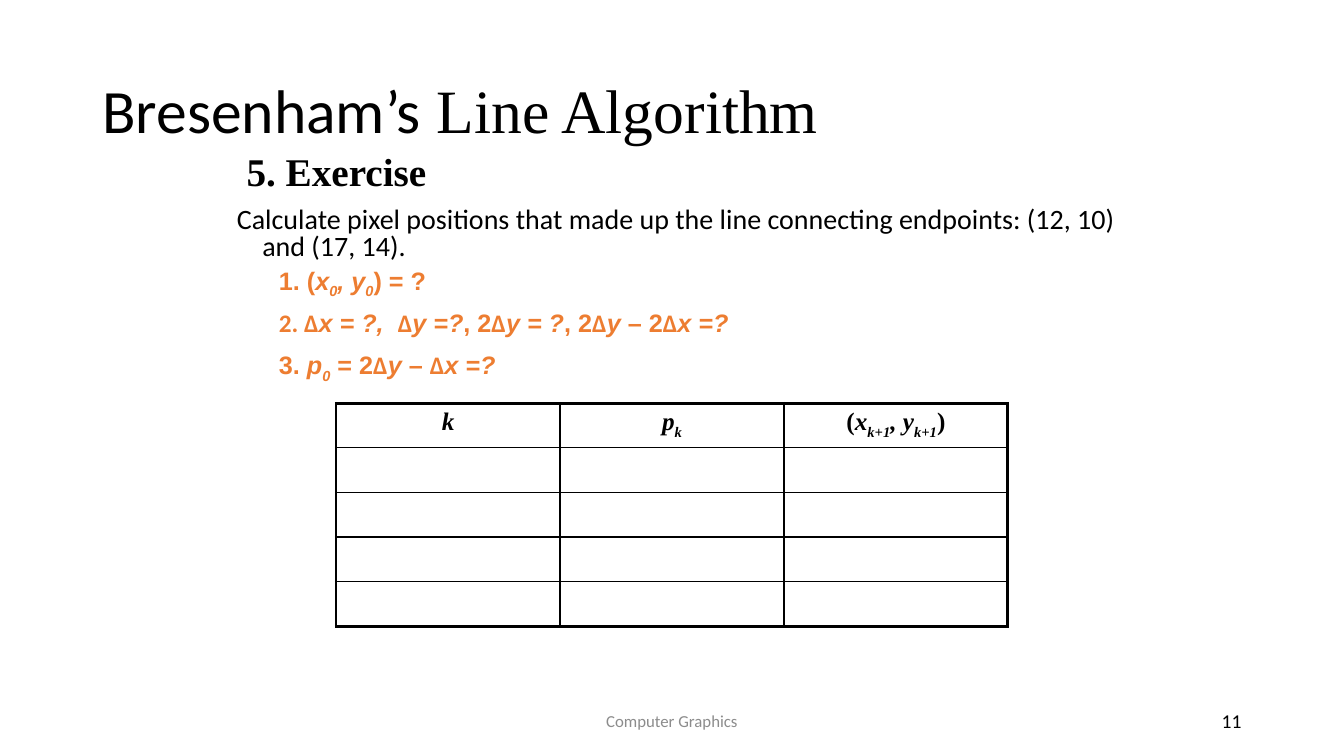
from dataclasses import dataclass

from lxml import etree
from pptx import Presentation
from pptx import util as u
from pptx.dml.color import RGBColor
from pptx.enum import text
from pptx.oxml import ns


@dataclass(frozen=True)
class Theme:
    ink: str = "000000"
    accent: str = "ED7D31"
    muted: str = "8C8C8C"
    sans: str = "Calibri"
    serif: str = "Times New Roman"
    formula: str = "Arial"
    title: int = 44
    heading: int = 28
    body: int = 20
    step: int = 18
    number: int = 14
    footer: int = 12
    thin: float = 1
    thick: float = 2.25


class SlideBuilder:
    def __init__(self, page, theme):
        self.page = page
        self.theme = theme

    def text_box(self, left, top, width, height, anchor=text.MSO_ANCHOR.TOP, wrap=True):
        box = self.page.shapes.add_textbox(u.Cm(left), u.Cm(top), u.Cm(width), u.Cm(height))
        box.text_frame.word_wrap = wrap
        box.text_frame.vertical_anchor = anchor
        if not wrap:
            box.text_frame.auto_size = text.MSO_AUTO_SIZE.SHAPE_TO_FIT_TEXT
        return box.text_frame

    def set_text(self, para, spans, size, font, color=None, bold=False,
                 align=text.PP_ALIGN.LEFT, hanging=0, line=1.0, before=0):
        """Fill a paragraph with (text, marks) spans.

        Marks: i italic, s subscript, c sans font, t serif font.
        """
        para.alignment = align
        para.line_spacing = line
        para.space_before = u.Pt(before)
        para.font.size = u.Pt(size)
        para.font.bold = bold
        para.font.name = font
        para.font.color.rgb = RGBColor.from_string(color or self.theme.ink)
        if hanging:
            properties = para._p.get_or_add_pPr()
            properties.set("marL", str(u.Cm(hanging)))
            properties.set("indent", str(-u.Cm(hanging)))
        for words, marks in spans:
            span = para.add_run()
            span.text = words
            if "i" in marks:
                span.font.italic = True
            if "s" in marks:
                span.font._element.set("baseline", "-25000")
            if "c" in marks:
                span.font.name = self.theme.sans
            if "t" in marks:
                span.font.name = self.theme.serif

    def step(self, top, spans, width, height, **layout):
        frame = self.text_box(6.78, top, width, height, wrap="hanging" in layout)
        self.set_text(frame.paragraphs[0], spans, self.theme.step, self.theme.formula,
                      self.theme.accent, bold=True, **layout)

    def border(self, cell, side, width):
        line = etree.SubElement(cell._tc.get_or_add_tcPr(), ns.qn(f"a:ln{side}"),
                                w=str(u.Pt(width)))
        fill = etree.SubElement(line, ns.qn("a:solidFill"))
        etree.SubElement(fill, ns.qn("a:srgbClr"), val=self.theme.ink)

    def table(self, left, top, width, height, headings, rows):
        columns = len(headings)
        grid = self.page.shapes.add_table(rows, columns, u.Cm(left), u.Cm(top),
                                          u.Cm(width), u.Cm(height)).table
        grid.first_row = grid.horz_banding = False
        for row in range(rows):
            for column in range(columns):
                cell = grid.cell(row, column)
                outer = {"L": column == 0, "R": column == columns - 1,
                         "T": row == 0, "B": row == rows - 1}
                for side, is_outer in outer.items():
                    self.border(cell, side, self.theme.thick if is_outer else self.theme.thin)
                cell.fill.background()
        for column, spans in enumerate(headings):
            self.set_text(grid.cell(0, column).text_frame.paragraphs[0], spans,
                          self.theme.step, self.theme.serif, bold=True,
                          align=text.PP_ALIGN.CENTER)


def main():
    deck = Presentation()
    deck.slide_width, deck.slide_height = u.Cm(33.87), u.Cm(19.05)
    theme = Theme()
    slide = SlideBuilder(deck.slides.add_slide(deck.slide_layouts[6]), theme)
    middle = text.MSO_ANCHOR.MIDDLE

    footer = slide.text_box(11.22, 17.66, 11.43, 1.01, middle)
    slide.set_text(footer.paragraphs[0], [("Computer Graphics", "")], theme.footer, theme.sans,
                   theme.muted, align=text.PP_ALIGN.CENTER)
    number = slide.text_box(23.92, 17.66, 7.62, 1.01, middle)
    slide.set_text(number.paragraphs[0], [("11", "")], theme.number, theme.sans,
                   align=text.PP_ALIGN.RIGHT)

    title = slide.text_box(2.33, 1.01, 29.21, 3.68, middle)
    slide.set_text(title.paragraphs[0], [("Bresenham’s", ""), (" Line Algorithm", "t")],
                   theme.title, theme.sans, line=0.9)

    task = slide.text_box(5.72, 3.81, 22.86, 2.96)
    spacing = dict(hanging=0.64, line=0.8, before=10)
    slide.set_text(task.paragraphs[0], [(" 5. Exercise", "")], theme.heading, theme.serif,
                   bold=True, **spacing)
    slide.set_text(task.add_paragraph(),
                   [("Calculate pixel positions that made up the line connecting endpoints: "
                     "(12, 10) and (17, 14).", "")], theme.body, theme.sans, **spacing)

    delta = ("Δ", "c")
    slide.step(7.62, [("2. Δ", "c"), ("x = ?,  ", "i"), delta, ("y =?", "i"), (", 2", ""),
                      delta, ("y = ?", "i"), (", 2", ""), delta, ("y", "i"), (" – 2", ""),
                      delta, ("x =?", "i")], 14.76, 1.7, hanging=0.97)
    slide.step(6.55, [("1. (", ""), ("x", "i"), ("0", "is"), (", y", "i"), ("0", "is"),
                      (") = ?", "")], 4.27, 1.02)
    slide.step(8.69, [("3. ", ""), ("p", "i"), ("0", "is"), (" = 2", ""), delta, ("y", "i"),
                      (" – ", ""), delta, ("x =?", "i")], 6.05, 1.78)

    slide.table(8.47, 10.16, 16.93, 5.62, [
        [("k", "i")],
        [("p", "i"), ("k", "is")],
        [("(", ""), ("x", "i"), ("k+1", "is"), (", y", "i"), ("k+1", "is"), (")", "")],
    ], rows=5)

    deck.save("out.pptx")


if __name__ == "__main__":
    main()
